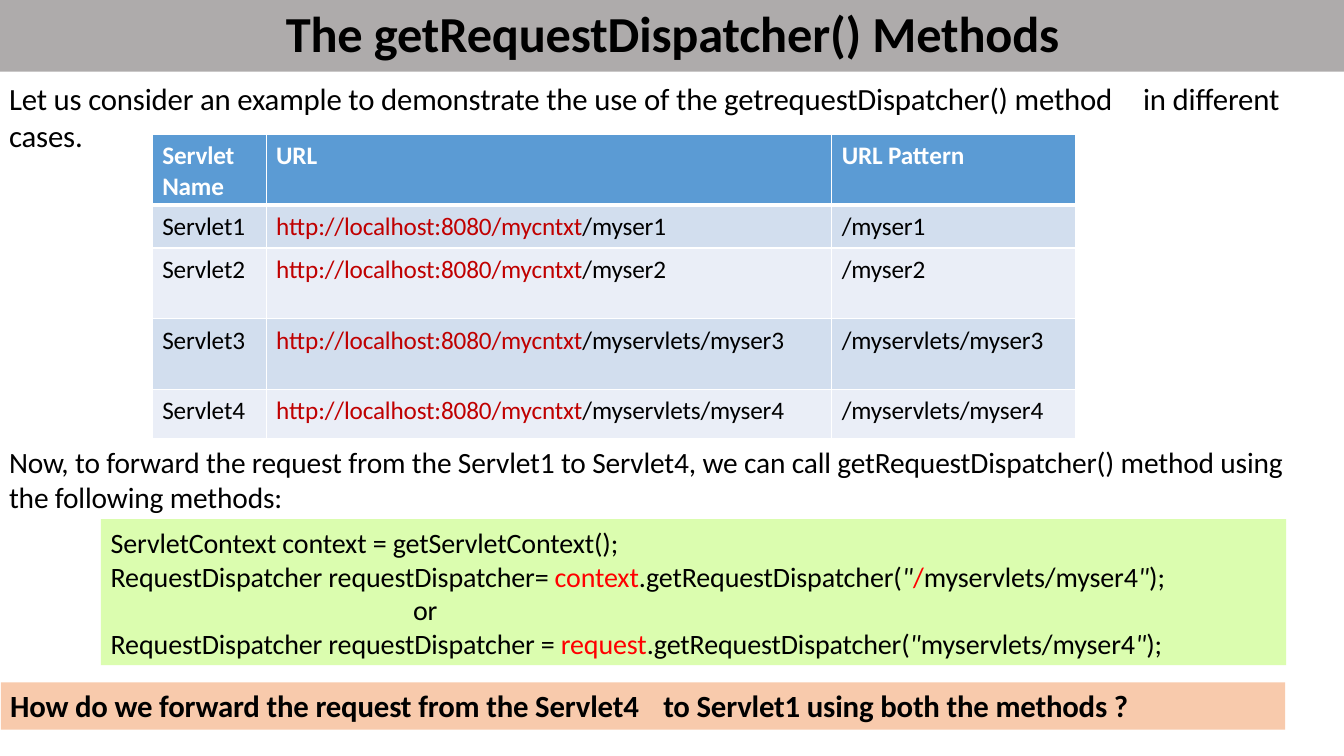
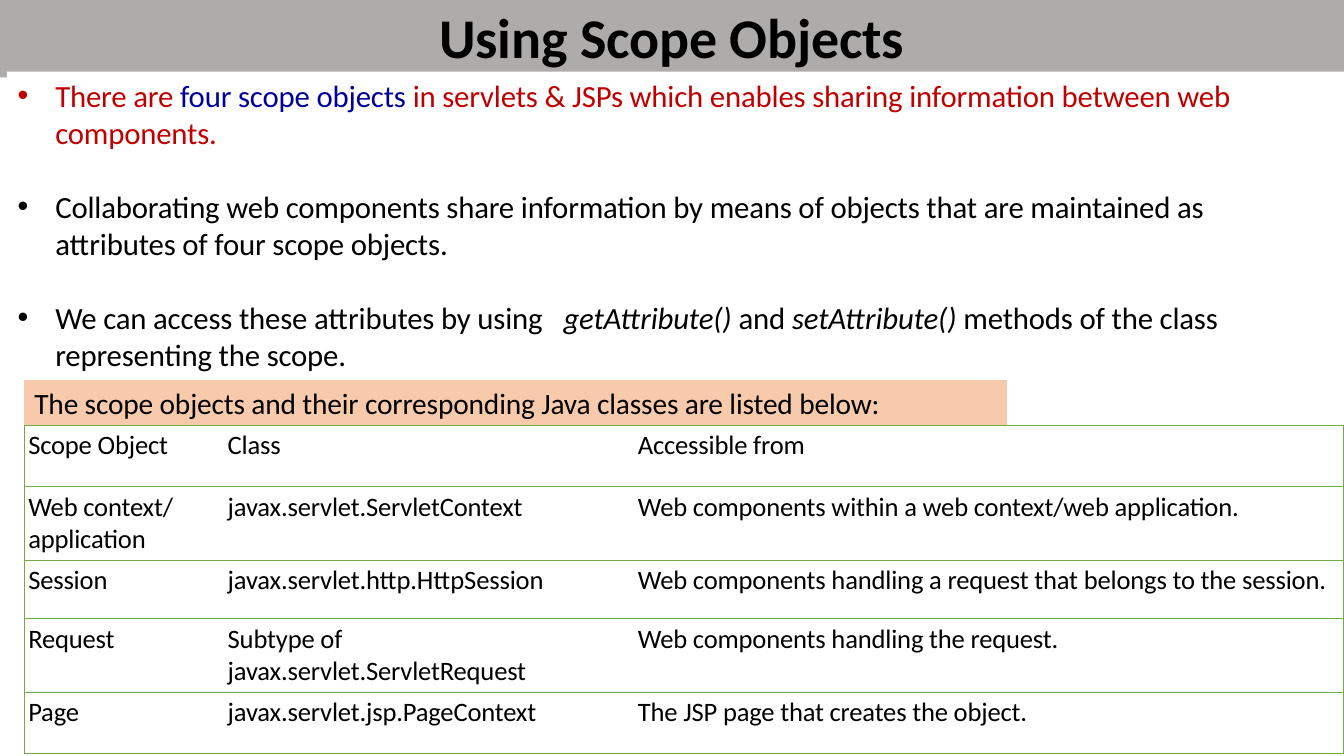
from lxml import etree
from pptx import Presentation
from pptx.dml.color import RGBColor
from pptx.enum.shapes import MSO_SHAPE
from pptx.enum.text import MSO_ANCHOR, MSO_AUTO_SIZE, PP_ALIGN
from pptx.oxml.ns import qn
from pptx.util import Pt

RECTANGLE = MSO_SHAPE.RECTANGLE
TOP = MSO_ANCHOR.TOP
NO_AUTOFIT = MSO_AUTO_SIZE.NONE
LEFT, CENTER = PP_ALIGN.LEFT, PP_ALIGN.CENTER

FONT = "Calibri"
TRACKING = "-10"
TITLE_AND_CONTENT, TITLE_ONLY = 1, 5
SLIDE_WIDTH, SLIDE_HEIGHT = 960, 540
SIDES = ("L", "R", "T", "B")
COLORS = {
    "black": "000000",
    "white": "FFFFFF",
    "band": "AEABAB",
    "crimson": "C00000",
    "red": "FF0000",
    "navy": "000099",
    "peach": "F8CAAC",
    "lime": "DBFDAF",
    "header": "5B9BD4",
    "dark_row": "D2DEEE",
    "light_row": "EAEEF7",
    "green": "6FAC46",
}

CONTEXT_URL = "http://localhost:8080/mycntxt"
SERVLET_PATTERNS = ["/myser1", "/myser2", "/myservlets/myser3", "/myservlets/myser4"]
SCOPE_ROWS = [
    ("Scope Object", "Class", "Accessible from"),
    ("Web context/\napplication", "javax.servlet.ServletContext",
     "Web components within a web context/web application."),
    ("Session", "javax.servlet.http.HttpSession",
     "Web components handling a request that belongs to the session."),
    ("Request", "Subtype of javax.servlet.ServletRequest",
     "Web components handling the request."),
    ("Page", "javax.servlet.jsp.PageContext",
     "The JSP page that creates the object."),
]


def color(name):
    """Return the RGB colour with the given name."""
    return RGBColor.from_string(COLORS[name])


def points(values):
    """Convert a sequence of numbers to lengths in points."""
    return [Pt(value) for value in values]


def write_runs(paragraph, runs, size, base="black", bold=False):
    """Write runs given as text or as (text, colour, italic) tuples."""
    for item in runs:
        text, name, italic = (item, base, False) if isinstance(item, str) else item
        run = paragraph.add_run()
        run.text = text
        run.font.name = FONT
        run.font.size = Pt(size)
        run.font.bold = bold
        run.font.italic = italic
        run.font.color.rgb = color(name)
        run.font._element.set("spc", TRACKING)


def write_lines(frame, lines, size, base="black", bold=False, align=LEFT):
    """Write one paragraph for each list of runs and return the paragraphs."""
    frame.text = "\n" * (len(lines) - 1)
    for paragraph, runs in zip(frame.paragraphs, lines):
        paragraph.alignment = align
        paragraph.space_before = Pt(0)
        write_runs(paragraph, runs, size, base, bold)
    return frame.paragraphs


def prepare_frame(frame, left=0, top=1.6):
    """Wrap a text frame, anchor it at the top and set its insets."""
    frame.word_wrap = True
    frame.auto_size = NO_AUTOFIT
    frame.vertical_anchor = TOP
    frame.margin_left, frame.margin_top = Pt(left), Pt(top)
    frame.margin_right = frame.margin_bottom = 0
    return frame


def set_indent(paragraph, margin, first_line=0):
    """Set the left margin and first-line indent of a paragraph."""
    properties = paragraph._p.get_or_add_pPr()
    properties.set("marL", str(Pt(margin)))
    properties.set("indent", str(Pt(first_line)))


def set_tab(paragraph, position):
    """Give a paragraph one left tab stop."""
    properties = paragraph._p.get_or_add_pPr()
    tabs = etree.SubElement(properties, qn("a:tabLst"))
    etree.SubElement(tabs, qn("a:tab"), pos=str(Pt(position)), algn="l")


def place(shape, box):
    """Move and size a shape."""
    shape.left, shape.top, shape.width, shape.height = points(box)


def add_panel(slide, box, fill):
    """Add a plain filled rectangle."""
    shape = slide.shapes.add_shape(RECTANGLE, *points(box))
    shape.shadow.inherit = False
    shape.fill.solid()
    shape.fill.fore_color.rgb = color(fill)
    shape.line.fill.background()
    return shape


def add_text(slide, box, lines, size):
    """Add a text box and return its paragraphs."""
    text_box = slide.shapes.add_textbox(*points(box))
    return write_lines(prepare_frame(text_box.text_frame), lines, size)


def add_titled_slide(presentation, layout, title, box, size, band_height):
    """Add a slide with a bold title over a grey band."""
    slide = presentation.slides.add_slide(presentation.slide_layouts[layout])
    heading = slide.shapes.title
    place(heading, box)
    frame = prepare_frame(heading.text_frame)
    frame.word_wrap = False
    write_lines(frame, [[title]], size, bold=True, align=CENTER)
    band = add_panel(slide, (0, 0, SLIDE_WIDTH, band_height), "band")
    heading.element.addprevious(band.element)
    return slide


def add_plain_table(slide, left, top, widths, heights):
    """Add an unbanded table with the given column widths and row heights."""
    box = points((left, top, sum(widths), sum(heights)))
    table = slide.shapes.add_table(len(heights), len(widths), *box).table
    table.first_row = table.horz_banding = False
    for column, width in zip(table.columns, widths):
        column.width = Pt(width)
    for row, height in zip(table.rows, heights):
        row.height = Pt(height)
    return table


def set_borders(cell, name, widths):
    """Draw the sides listed in widths and clear the others."""
    properties = cell._tc.get_or_add_tcPr()
    for side in SIDES:
        line = etree.SubElement(properties, qn("a:ln" + side))
        if side in widths:
            line.set("w", str(Pt(widths[side])))
            fill = etree.SubElement(line, qn("a:solidFill"))
            etree.SubElement(fill, qn("a:srgbClr"), val=COLORS[name])
        else:
            etree.SubElement(line, qn("a:noFill"))


def fill_cell(cell, fill=None):
    """Fill a cell with a colour or leave it clear."""
    if fill:
        cell.fill.solid()
        cell.fill.fore_color.rgb = color(fill)
    else:
        cell.fill.background()


def write_cell(cell, lines, size, left, top, base="black", bold=False):
    """Write a cell's text with its insets."""
    cell.margin_left, cell.margin_top = Pt(left), Pt(top)
    cell.margin_right = cell.margin_bottom = 0
    cell.vertical_anchor = TOP
    write_lines(cell.text_frame, lines, size, base, bold)


def add_servlet_table(slide):
    """Add the table of servlet names, URLs and patterns."""
    rows = [["Servlet Name"], ["URL"], ["URL Pattern"]],
    rows += tuple(
        [[f"Servlet{number}"], [(CONTEXT_URL, "crimson", False), pattern], [pattern]]
        for number, pattern in enumerate(SERVLET_PATTERNS, 1))
    table = add_plain_table(slide, 108.7, 95.8, (81.4, 404, 174.2),
                            (50.4, 31, 50.4, 50.4, 35.3))
    for row_index, row in enumerate(rows):
        header = row_index == 0
        fill = "header" if header else ("light_row", "dark_row")[row_index % 2]
        widths = {"L": 1, "R": 1, "T": 3 if row_index == 1 else 1,
                  "B": 3 if header else 1}
        for column_index, runs in enumerate(row):
            cell = table.cell(row_index, column_index)
            set_borders(cell, "white", widths)
            fill_cell(cell, fill)
            write_cell(cell, [runs], 18, 7.2, 4.6,
                       "white" if header else "black", header)


def add_scope_table(slide):
    """Add the table of scope objects under its peach caption row."""
    table = add_plain_table(slide, 17.3, 271.4, (126.7, 280, 295.2, 240.5),
                            (32.4, 43.9, 52.6, 41.8, 52.6, 43.9))
    last_column = len(table.columns) - 1
    table.cell(0, 0).merge(table.cell(0, 2))
    for row_index in range(2, len(table.rows)):
        table.cell(row_index, 2).merge(table.cell(row_index, last_column))
    for row_index in range(len(table.rows)):
        for column_index in range(last_column + 1):
            cell = table.cell(row_index, column_index)
            widths = {"B": 1}
            if row_index:
                widths["T"] = 1
                if column_index == 0:
                    widths["L"] = 1
                if column_index == last_column or cell.is_merge_origin:
                    widths["R"] = 1
            set_borders(cell, "green", widths)
            caption = row_index == 0 and column_index < last_column
            fill_cell(cell, "peach" if caption else None)
    write_cell(table.cell(0, 0), [[
        "The scope objects and their corresponding Java classes are listed below:"
    ]], 21, 7.2, 4.6)
    for row_index, row in enumerate(SCOPE_ROWS, 1):
        for column_index, (text, left) in enumerate(zip(row, (2.9, 18.7, 31.7))):
            lines = [[line] for line in text.split("\n")]
            write_cell(table.cell(row_index, column_index), lines, 19, left, 3)


def build_dispatcher_slide(presentation):
    """Build the slide on getRequestDispatcher()."""
    slide = add_titled_slide(presentation, TITLE_ONLY,
                             "The getRequestDispatcher() Methods",
                             (201, 0, 558.7, 45.4), 36, 51.1)
    intro = add_text(slide, (6.5, 55.4, 909.4, 54.7), [[
        "Let us consider an example to demonstrate the use of the "
        "getrequestDispatcher() method\tin different cases."]], 22)
    set_tab(intro[0], 810)
    add_servlet_table(slide)
    add_text(slide, (6.5, 315.4, 923.8, 52.6), [
        ["Now, to forward the request from the Servlet1 to Servlet4, "
         "we can call getRequestDispatcher() method using"],
        ["the following methods:"]], 21)

    quote = ('"', "black", True)
    code = add_panel(slide, (72, 370.8, 846.7, 104.4), "lime")
    code_lines = write_lines(prepare_frame(code.text_frame, 7.2, 4.6), [
        ["ServletContext context = getServletContext();"],
        ["RequestDispatcher requestDispatcher= ", ("context", "red", False),
         ".getRequestDispatcher(", quote, ("/", "red", False),
         "myservlets/myser4", quote, ");"],
        ["or"],
        ["RequestDispatcher requestDispatcher = ", ("request", "red", False),
         ".getRequestDispatcher(", quote, "myservlets/myser4", quote, ");"]], 20)
    set_indent(code_lines[2], 216)

    question = add_panel(slide, (0.7, 487.4, 917.3, 33.8), "peach")
    question_lines = write_lines(prepare_frame(question.text_frame, 6.5, 3), [[
        "How do we forward the request from the Servlet4\t"
        "to Servlet1 using both the methods ?"]], 22, bold=True)
    set_tab(question_lines[0], 466.6)


def build_scope_slide(presentation):
    """Build the slide on scope objects."""
    slide = add_titled_slide(presentation, TITLE_AND_CONTENT, "Using Scope Objects",
                             (311.8, 0, 336.2, 49.7), 40, 55.4)
    body = slide.placeholders[1]
    place(body, (11.5, 53.3, 879.8, 213))
    panel = add_panel(slide, (5, 51.1, 955, 220.3), "white")
    body.element.addprevious(panel.element)
    bullets = write_lines(prepare_frame(body.text_frame), [
        [("There are ", "crimson", False), ("four scope objects ", "navy", False),
         ("in servlets & JSPs which enables sharing information between "
          "web components.", "crimson", False)],
        ["Collaborating web components share information by means of objects "
         "that are maintained as attributes of four scope objects."],
        ["We can access these attributes by using\t",
         ("getAttribute() ", "black", True), "and ",
         ("setAttribute() ", "black", True),
         "methods of the class representing the scope."]], 22)
    for bullet in bullets:
        set_indent(bullet, 28, -27)
    for bullet in bullets[1:]:
        bullet.space_before = Pt(26.3)
    set_tab(bullets[2], 391)
    add_scope_table(slide)


def main():
    """Build and save the presentation."""
    presentation = Presentation()
    presentation.slide_width = Pt(SLIDE_WIDTH)
    presentation.slide_height = Pt(SLIDE_HEIGHT)
    build_dispatcher_slide(presentation)
    build_scope_slide(presentation)
    presentation.save("out.pptx")


main()
